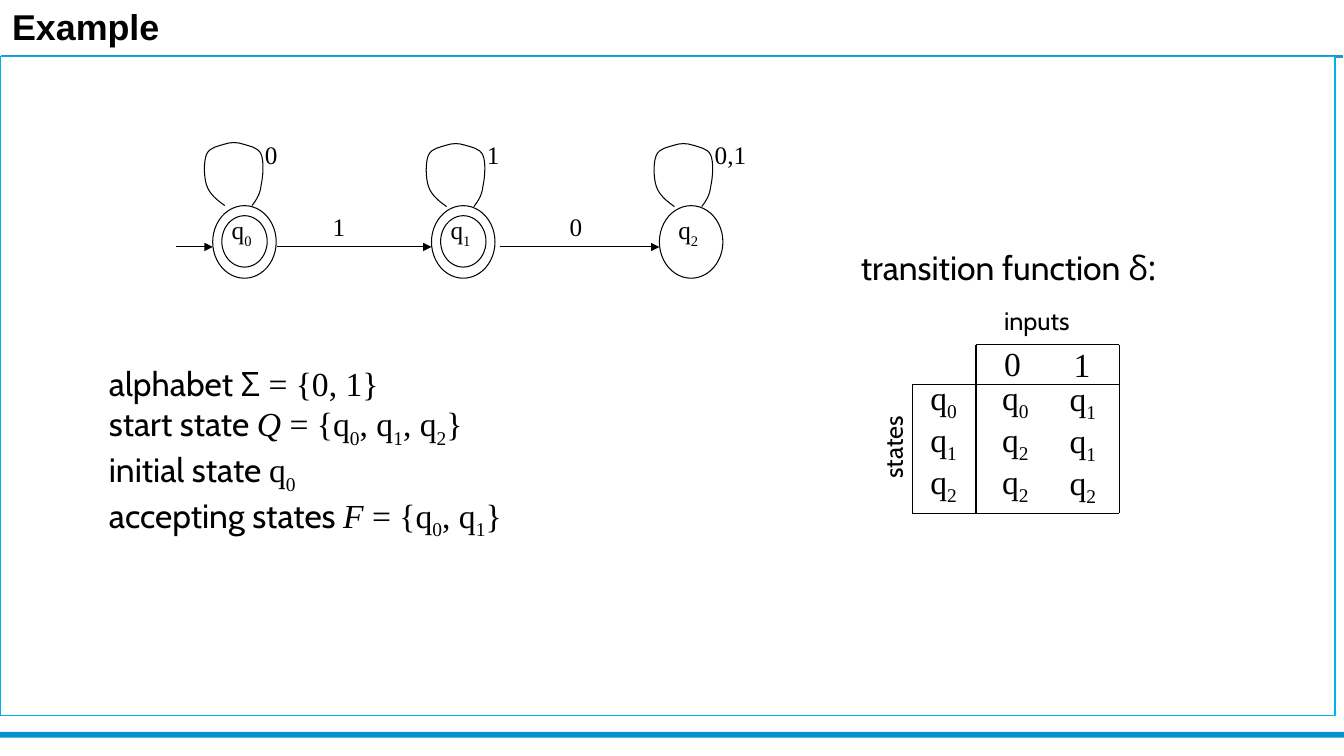
from lxml import etree
from pptx import Presentation
from pptx.dml.color import RGBColor
from pptx.enum.shapes import MSO_CONNECTOR, MSO_SHAPE
from pptx.enum.text import MSO_ANCHOR, MSO_AUTO_SIZE, PP_ALIGN
from pptx.oxml.ns import qn
from pptx.util import Inches, Pt

LINE = MSO_CONNECTOR.STRAIGHT
RECT, OVAL = MSO_SHAPE.RECTANGLE, MSO_SHAPE.OVAL
TOP = MSO_ANCHOR.TOP
LEFT = PP_ALIGN.LEFT
FIXED = MSO_AUTO_SIZE.NONE


class Theme:
    """Colours, fonts and sizes of the slide."""
    ink, head = "000000", "010103"
    white, rule, bar, frame = "FFFFFF", "1F97C8", "0793CF", "00B0F0"
    title, large, small = 25.6, 24, 18
    fine = 0.75
    fonts = {"sans": "Cabin", "greek": "Open Sans", "math": "Times New Roman",
             "var": "Times New Roman", "title": "Arial"}


LOOP = [(.21, .63),
        (.14, .58), (.06, .52), (.03, .43), (0, .34), (0, .19), (.03, .12),
        (.06, .05), (.15, .04), (.21, .02), (.27, 0), (.33, 0), (.39, .02),
        (.45, .04), (.54, .05), (.57, .12), (.6, .19), (.59, .34), (.57, .43),
        (.56, .52), (.52, .58), (.48, .63)]


def put(obj, **vals):
    """Set each named value on an object."""
    for name, val in vals.items():
        setattr(obj, name, val)


def write(para, parts, size, color=Theme.ink):
    """Add (style, text) parts, where an underscore lowers the next sign."""
    for style, text in parts:
        first, *rest = text.split("_")
        bits = [(first, False)]
        for bit in rest:
            bits += [(bit[0], True), (bit[1:], False)]
        for bit, low in bits:
            if not bit:
                continue
            run = para.add_run()
            run.text = bit
            put(run.font, name=Theme.fonts[style], size=Pt(size),
                bold=style == "title", italic=style == "var")
            run.font.color.rgb = RGBColor.from_string(color)
            run.font._element.set("kern", "0")
            if low:
                run.font._element.set("baseline", "-25000")


def label(slide, box, parts, size=Theme.small, turn=0):
    """Place one line of text."""
    shape = slide.shapes.add_textbox(*map(Inches, box))
    shape.rotation = turn
    put(shape.text_frame, word_wrap=True, margin_right=0, vertical_anchor=TOP)
    write(shape.text_frame.paragraphs[0], parts, size)


def paint(shape, fill=None, line=None, width=Theme.fine):
    """Give a shape its fill and outline, with no shadow."""
    shape.shadow.inherit = False
    for part, color in ((shape.fill, fill), (shape.line.fill, line)):
        if color:
            part.solid()
            part.fore_color.rgb = RGBColor.from_string(color)
        else:
            part.background()
    if line:
        shape.line.width = Pt(width)


def draw(slide, kind, box, **look):
    """Add a painted preset shape."""
    paint(slide.shapes.add_shape(kind, *map(Inches, box)), **look)


def stroke(slide, ends, color=Theme.ink, width=Theme.fine, arrow=False):
    """Add a straight line, with an arrowhead if asked."""
    line = slide.shapes.add_connector(LINE, *map(Inches, ends))
    line.line.color.rgb = RGBColor.from_string(color)
    line.line.width = Pt(width)
    if arrow:
        etree.SubElement(line.line._get_or_add_ln(), qn("a:tailEnd"),
                         type="triangle")
    etree.SubElement(line._element.spPr, qn("a:effectLst"))


def loop(slide, x, y):
    """Draw a self transition, with each three points as one curve."""
    dots = [(Inches(x + a), Inches(y + b)) for a, b in LOOP]
    maker = slide.shapes.build_freeform(*dots[0])
    maker.add_line_segments(dots[1:], close=False)
    shape = maker.convert_to_shape()
    steps = list(shape._element.iter(qn("a:lnTo")))
    for i in range(0, len(steps), 3):
        bend = etree.Element(qn("a:cubicBezTo"))
        steps[i].addprevious(bend)
        for step in steps[i:i + 3]:
            bend.append(step[0])
            step.getparent().remove(step)
    paint(shape, line=Theme.ink)


def frame(slide, wide):
    """Draw the rule, the panel and the foot bar."""
    stroke(slide, (.01, .56, wide - .01, .56), Theme.rule, 2.25)
    draw(slide, RECT, (0, 7.26, wide, .06), fill=Theme.bar)
    draw(slide, RECT, (0, .56, 13.24, 6.54), fill=Theme.white,
         line=Theme.frame, width=1)


def block(slide, hold, box, lines, size, color=Theme.ink):
    """Move a placeholder to the front and fill it with plain lines."""
    slide.shapes._spTree.append(hold._element)
    left, top, wide, high = map(Inches, box)
    put(hold, left=left, top=top, width=wide, height=high)
    text = hold.text_frame
    put(text, auto_size=FIXED, word_wrap=True, vertical_anchor=TOP,
        margin_left=0, margin_right=0, margin_top=0, margin_bottom=0)
    for i, parts in enumerate(lines):
        para = text.add_paragraph() if i else text.paragraphs[0]
        put(para, alignment=LEFT, space_before=Pt(0), space_after=Pt(0))
        props = para._p.get_or_add_pPr()
        props.set("marL", "0")
        props.set("indent", "0")
        etree.SubElement(props, qn("a:buNone"))
        write(para, parts, size, color)


def graph(slide, x, y):
    """Draw the state diagram."""
    states = [(.36, -.09, -.63, "0", True), (2.53, -.06, -.62, "1", True),
              (4.79, -.06, -.62, "0,1", False)]
    for i, (dx, lx, ly, text, final) in enumerate(states):
        left = x + dx
        draw(slide, OVAL, (left, y, .63, .72), line=Theme.ink)
        if final:
            draw(slide, OVAL, (left + .09, y + .1, .45, .51), line=Theme.ink)
        label(slide, (left + .09, y + .04, .44, .49), [("math", f"q_{i}")])
        loop(slide, left + lx, y + ly)
        label(slide, (left + lx + .51, y - .71, .53, .49), [("math", text)])
    for start, end in ((0, .36), (1, 2.53), (3.21, 4.79)):
        stroke(slide, (x + start, y + .41, x + end, y + .41), arrow=True)
    for dx, text in ((1.45, "1"), (3.8, "0")):
        label(slide, (x + dx, y + .01, .35, .49), [("math", text)])


def moves(slide, x, y):
    """Place the ruled transition grid with its heading and axis labels."""
    label(slide, (x - .61, y - 1.02, 3.19, .5),
          [("sans", "transition function "), ("greek", "δ:")], Theme.large)
    label(slide, (x + .81, y - .44, .86, .4), [("sans", "inputs")])
    label(slide, (x - .62, y + .8, .85, .4), [("sans", "states")], turn=270)
    right, split, mid, low = x + 2.05, x + .63, y + .39, y + 1.67
    for ends in ((split, y, right, y), (x, mid, right, mid),
                 (x, low, right, low), (x, mid, x, low),
                 (split, y, split, low), (right, y, right, low)):
        stroke(slide, ends)
    for dx, dy, text in ((.81, -.07, "0"), (1.5, -.06, "1")):
        label(slide, (x + dx, y + dy, .36, .5), [("math", text)], Theme.large)
    for dx, dy, marks in ((.08, .27, "012"), (.79, .27, "022"),
                          (1.46, .28, "112")):
        for r, mark in enumerate(marks):
            label(slide, (x + dx, y + dy + r * .415, .47, .5),
                  [("math", f"q_{mark}")], Theme.large)


def main():
    """Build and save the slide."""
    deck = Presentation()
    put(deck, slide_width=Inches(13.33), slide_height=Inches(7.5))
    slide = deck.slides.add_slide(deck.slide_layouts[1])
    frame(slide, 13.33)
    block(slide, slide.shapes.title, (.12, .05, 7.87, .43),
          [[("title", "Example")]], Theme.title, Theme.head)
    graph(slide, 1.75, 2.04)
    facts = [
        [("sans", "alphabet "), ("greek", "Σ "), ("math", "= {0, 1}")],
        [("sans", "start state "), ("var", "Q"), ("math", " = {q_0, q_1, q_2}")],
        [("sans", "initial state "), ("math", "q_0")],
        [("sans", "accepting states "), ("var", "F"), ("math", " = {q_0, q_1}")]]
    block(slide, slide.placeholders[1], (1.08, 3.6, 4.71, 1.72), facts,
          Theme.large)
    moves(slide, 9.05, 3.42)
    deck.save("out.pptx")


if __name__ == "__main__":
    main()
